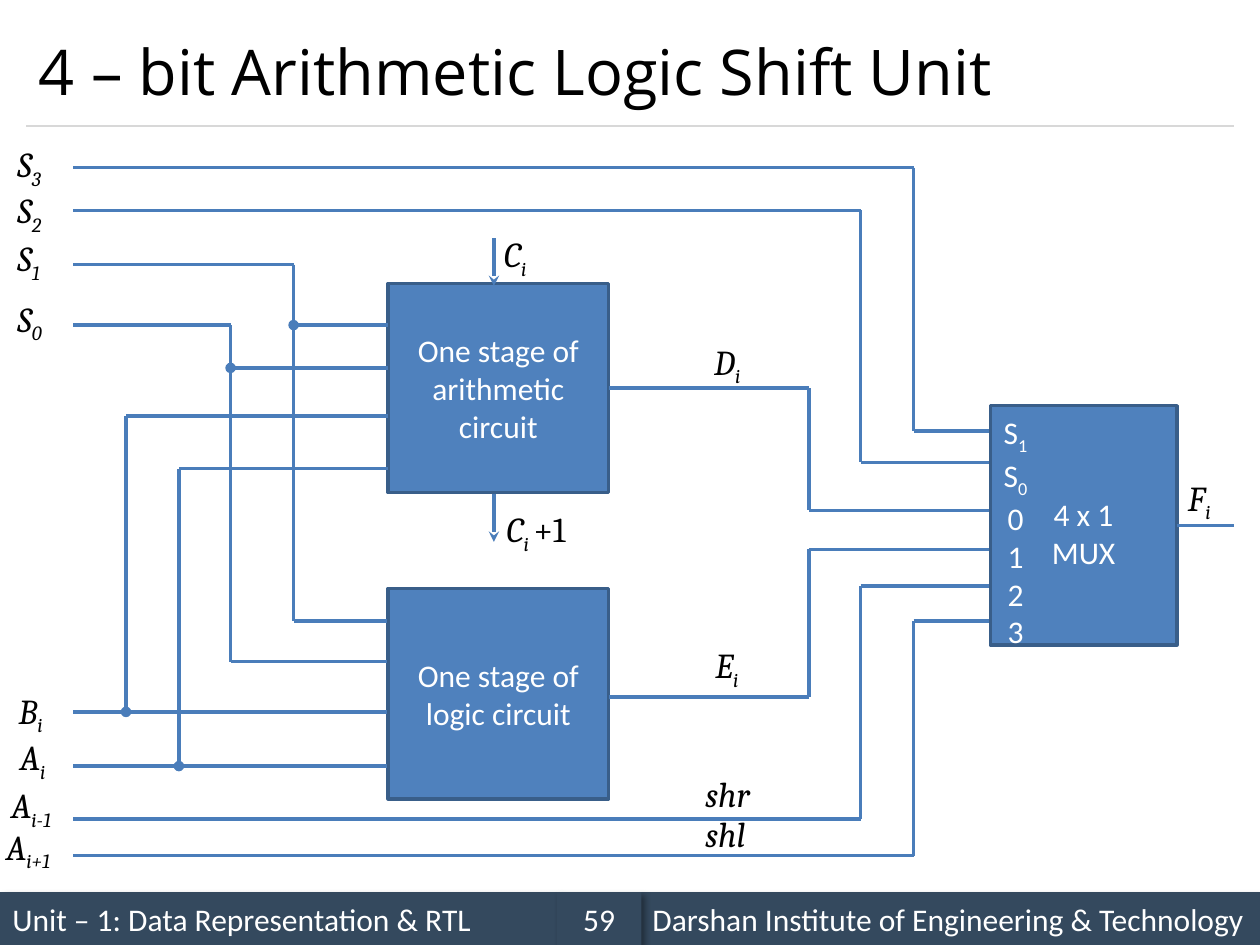
from lxml import etree
from pptx import Presentation
from pptx.dml.color import RGBColor
from pptx.enum.shapes import MSO_CONNECTOR, MSO_SHAPE
from pptx.enum.text import MSO_ANCHOR, PP_ALIGN
from pptx.oxml import parse_xml
from pptx.oxml.ns import nsdecls, qn
from pptx.util import Pt

RECT = MSO_SHAPE.RECTANGLE
STRAIGHT = MSO_CONNECTOR.STRAIGHT
MIDDLE = MSO_ANCHOR.MIDDLE
LEFT, CENTER = PP_ALIGN.LEFT, PP_ALIGN.CENTER
RIGHT_SIDE = 3
BLANK = 6
SCALE = 9144
COLORS = {"bar": "34495E", "rule": "D8D8D8", "block": "4F81BD", "edge": "395E89",
          "wire": "4A7DBA", "light": "FFFFFF", "dark": "000000"}


def px(*values):
    """Turn px lengths into EMU."""
    return [v * SCALE for v in values]


def rgb(name):
    """Look up a named colour."""
    return RGBColor.from_string(COLORS[name])


def write(tf, lines, size, font, color, align=LEFT, italic=False):
    """Fill a text frame; in each line "_" leads to a subscript, then to upright text."""
    for i, line in enumerate(lines):
        p = tf.paragraphs[0] if i == 0 else tf.add_paragraph()
        p.alignment = align
        p.font.size, p.font.name, p.font.italic = Pt(size), font, italic
        p.font.color.rgb = rgb(color)
        for part, text in enumerate(line.split("_")):
            r = p.add_run()
            r.text = text
            if part == 1:
                r.font._element.set("baseline", "-25000")
            elif part == 2:
                r.font.italic = False


def add_rect(s, box, fill, edge=None):
    """Draw a flat rectangle with an optional outline."""
    sp = s.shapes.add_shape(RECT, *px(*box))
    sp.shadow.inherit = False
    sp.fill.solid()
    sp.fill.fore_color.rgb = rgb(fill)
    if edge:
        sp.line.color.rgb = rgb(edge)
        sp.line.width = Pt(2)
    else:
        sp.line.fill.background()
    sp.text_frame.word_wrap = True
    sp.text_frame.vertical_anchor = MIDDLE
    return sp


def add_line(s, start, end, color="wire", width=2, head=None, tail=None):
    """Draw one straight line with optional end marks."""
    cxn = s.shapes.add_connector(STRAIGHT, *px(*start, *end))
    cxn.line.color.rgb = rgb(color)
    cxn.line.width = Pt(width)
    ln = cxn.line._get_or_add_ln()
    for tag, mark in (("a:headEnd", head), ("a:tailEnd", tail)):
        if mark:
            etree.SubElement(ln, qn(tag)).set("type", mark)
    etree.SubElement(cxn._element.spPr, qn("a:effectLst"))
    return cxn


def add_wire(s, box, *points, head=None, tail=None, source=None):
    """Draw a wire through points, optionally leaving the right side of a block."""
    spots = [(box[0] + x, box[1] + y) for x, y in points]
    last = len(spots) - 2
    for i, (a, b) in enumerate(zip(spots, spots[1:])):
        cxn = add_line(s, a, b, head=head if i == 0 else None,
                       tail=tail if i == last else None)
        if source is not None and i == 0:
            cxn.begin_connect(source, RIGHT_SIDE)


def add_label(s, box, x, y, w, text):
    """Place a signal name."""
    tb = s.shapes.add_textbox(*px(box[0] + x, box[1] + y, w, 44))
    write(tb.text_frame, [text], 20, "Cambria", "dark", italic=True)


def add_header(s, box):
    """Place the title and the rule below it."""
    x, y, w, h = box
    tb = s.shapes.add_textbox(*px(*box))
    tb.text_frame.word_wrap = True
    tb.text_frame.vertical_anchor = MIDDLE
    write(tb.text_frame, ["4 – bit Arithmetic Logic Shift Unit"], 36, "Open Sans", "dark")
    add_line(s, (x, y + h), (x + w, y + h), "rule", 0.75)


def add_footer(s, box):
    """Place the three shaded bars at the bottom."""
    x, y, w, h = box
    bars = [(0, 442, LEFT, "Unit – 1: Data Representation & RTL"),
            (508, w - 508, LEFT, "Darshan Institute of Engineering & Technology"),
            (442, 67, CENTER, "59")]
    for left, width, align, text in bars:
        sp = add_rect(s, (x + left, y, width, h), "bar")
        sp._element.spPr.find(qn("a:effectLst")).append(parse_xml(
            f'<a:outerShdw {nsdecls("a")} blurRad="50800" dist="38100" dir="2700000">'
            '<a:srgbClr val="000000"><a:alpha val="40000"/></a:srgbClr></a:outerShdw>'))
        write(sp.text_frame, [text], 18, "Calibri", "light", align)


def add_stage(s, box, text):
    """Draw a circuit stage and return it."""
    sp = add_rect(s, box, "block", "edge")
    write(sp.text_frame, [text], 18, "Calibri", "light", CENTER)
    return sp


def add_mux(s, box):
    """Draw the multiplexer with its pin names and return it."""
    x, y, w, h = box
    sp = add_rect(s, box, "block", "edge")
    sp.text_frame.margin_top = px(17)[0]
    write(sp.text_frame, ["4 x 1", "MUX"], 18, "Calibri", "light", CENTER)
    tb = s.shapes.add_textbox(*px(x, y + 1, 40, h + 1))
    write(tb.text_frame, ["S_1", "S_0", "0", "1", "2", "3"], 18, "Calibri", "light", CENTER)
    return sp


def add_diagram(s, box):
    """Draw the blocks, wires and signal names."""
    x, y = box[:2]
    arithmetic = add_stage(s, (x + 308, y + 125, 175, 166), "One stage of arithmetic circuit")
    add_stage(s, (x + 308, y + 367, 175, 167), "One stage of logic circuit")
    mux = add_mux(s, (x + 786, y + 222, 148, 190))

    start, pin = 58, 785
    for bend, y1, y2 in [(725, 33, 242), (683, 67, 267), (683, 550, 365), (725, 579, 393)]:
        add_wire(s, box, (start, y1), (bend, y1), (bend, y2), (pin, y2))
    add_wire(s, box, (483, 208), (642, 208), (642, 305), (pin, 305), source=arithmetic)
    add_wire(s, box, (483, 453), (642, 453), (642, 336), (pin, 336))
    add_wire(s, box, (934, 317), (979, 317), source=mux)

    for bend, y1, tap, y2 in [(233, 110, 158, 393), (183, 158, 192, 425)]:
        add_wire(s, box, (start, y1), (bend, y1), (bend, y2), (307, y2))
        add_wire(s, box, (bend, tap), (308, tap), head="oval")
    for bend, y1, y2 in [(100, 465, 230), (142, 508, 272)]:
        add_wire(s, box, (start, y1), (307, y1))
        add_wire(s, box, (308, y2), (bend, y2), (bend, y1), tail="oval")
    for top in (89, 292):
        add_wire(s, box, (392, top), (392, top + 38), tail="stealth")

    labels = [(4, 8, 44, "S_3"), (4, 45, 44, "S_2"), (4, 83, 44, "S_1"), (4, 131, 44, "S_0"),
              (5, 442, 43, "B_i"), (6, 479, 43, "A_i"), (-1, 517, 59, "A_i-1"),
              (-5, 550, 67, "A_i+1"), (390, 80, 43, "C_i"), (392, 298, 82, "C_i _+1"),
              (557, 165, 44, "D_i"), (558, 406, 43, "E_i"), (933, 273, 41, "F_i"),
              (550, 508, 59, "shr"), (550, 540, 55, "shl")]
    for label in labels:
        add_label(s, box, *label)


def main():
    """Build the slide."""
    prs = Presentation()
    prs.slide_width, prs.slide_height = px(1000, 750)
    s = prs.slides.add_slide(prs.slide_layouts[BLANK])
    add_footer(s, (0, 708, 1000, 42))
    add_header(s, (21, 12, 958, 88))
    add_diagram(s, (0, 100, 1000, 608))
    prs.save("out.pptx")


if __name__ == "__main__":
    main()
